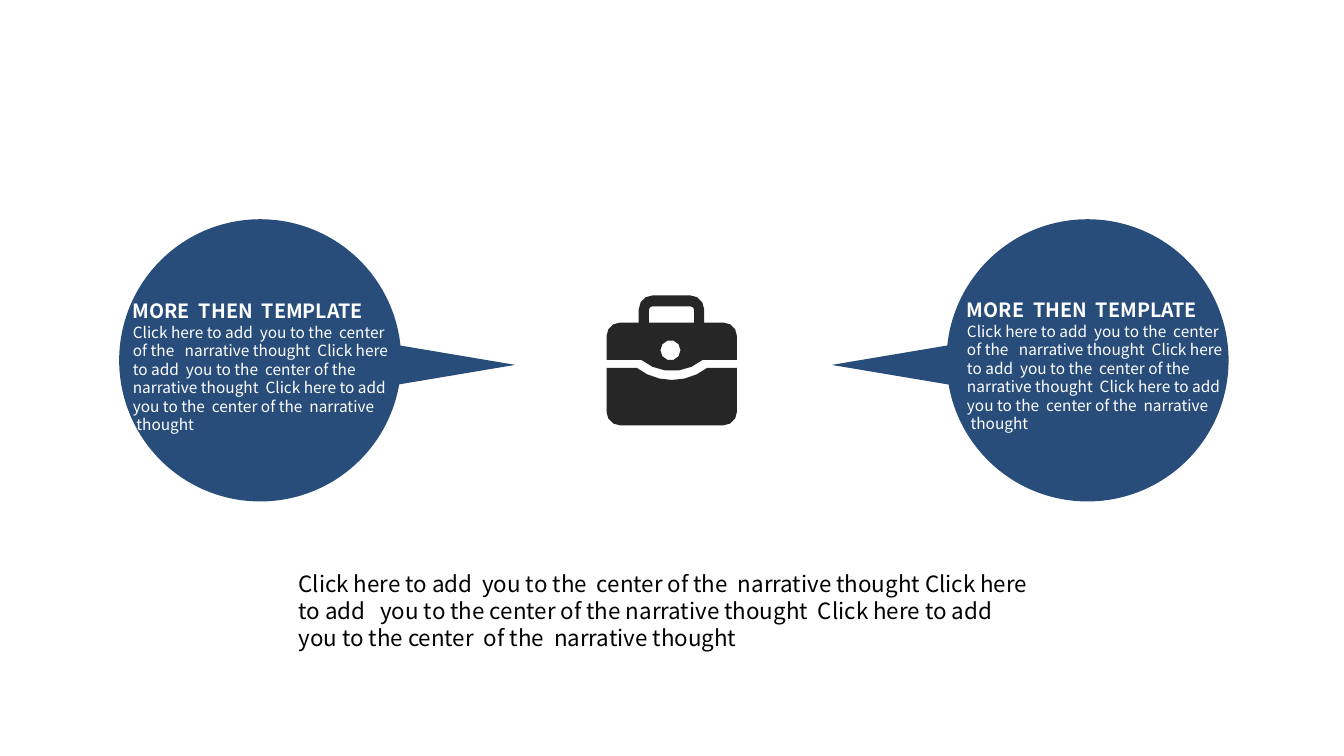
from dataclasses import dataclass
from math import acos, ceil, cos, radians, sin

from pptx import Presentation
from pptx.dml.color import RGBColor
from pptx.enum.shapes import MSO_SHAPE
from pptx.enum.text import MSO_ANCHOR, PP_ALIGN
from pptx.shapes.autoshape import Shape
from pptx.slide import Slide
from pptx.util import Inches, Pt

COLS, ROWS = 133.4, 75
CELL = Inches(0.1)
Point = tuple[float, float]


@dataclass(frozen=True)
class Theme:
    blue: RGBColor = RGBColor(0x28, 0x4D, 0x7A)
    dark: RGBColor = RGBColor(0x26, 0x26, 0x26)
    white: RGBColor = RGBColor(0xFF, 0xFF, 0xFF)
    black: RGBColor = RGBColor(0x00, 0x00, 0x00)
    font: str = "Noto Sans CJK JP"
    heading: float = 14
    body: float = 11
    summary: float = 16
    leading: float = 1.2


@dataclass(frozen=True)
class Line:
    text: str
    size: float
    color: RGBColor
    bold: bool = False
    indent: float = 0


@dataclass(frozen=True)
class Box:
    col: float
    row: float
    cols: float
    rows: float

    def emu(self) -> tuple[int, ...]:
        return tuple(round(v * CELL) for v in (self.col, self.row, self.cols, self.rows))


@dataclass(frozen=True)
class Callout:
    circle: Box
    pointer: Box
    rotation: float
    text: Box


THEME = Theme()
BUBBLE_LINES = [
    Line("MORE  THEN  TEMPLATE", THEME.heading, THEME.white, bold=True),
    Line("Click here to add  you to the  center", THEME.body, THEME.white),
    Line("of the   narrative thought  Click here", THEME.body, THEME.white),
    Line("to add  you to the  center of the", THEME.body, THEME.white),
    Line("narrative thought  Click here to add", THEME.body, THEME.white),
    Line("you to the  center of the  narrative", THEME.body, THEME.white),
    Line("thought", THEME.body, THEME.white, indent=0.35),
]
SUMMARY_LINES = [
    Line("Click here to add  you to the  center of the  narrative thought Click here",
         THEME.summary, THEME.black),
    Line("to add   you to the center of the narrative thought  Click here to add",
         THEME.summary, THEME.black),
    Line("you to the center  of the  narrative thought", THEME.summary, THEME.black),
]
CALLOUTS = [
    Callout(Box(11.83, 21.75, 28, 28), Box(42.6, 29.8, 4.3, 12.8), 90, Box(12.2, 29.2, 28, 16.2)),
    Callout(Box(93.95, 21.75, 28, 28), Box(86.8, 29.8, 4.3, 12.8), 270, Box(95, 29.1, 28, 16.2)),
]
SUMMARY = Box(28.65, 56.1, 75.9, 18.9)


def paint(s: Shape, color: RGBColor) -> None:
    s.shadow.inherit = False
    s.fill.solid()
    s.fill.fore_color.rgb = color
    s.line.fill.background()


def add_filled(slide: Slide, kind: MSO_SHAPE, box: Box, rotation: float = 0) -> None:
    s = slide.shapes.add_shape(kind, *box.emu())
    s.rotation = rotation
    paint(s, THEME.blue)


def add_lines(slide: Slide, box: Box, lines: list[Line]) -> None:
    tf = slide.shapes.add_textbox(*box.emu()).text_frame
    tf.word_wrap = True
    tf.vertical_anchor = MSO_ANCHOR.TOP
    for i, line in enumerate(lines):
        p = tf.paragraphs[0] if i == 0 else tf.add_paragraph()
        p._p.get_or_add_pPr().set("marL", str(round(line.indent * CELL)))
        r = p.add_run()
        r.text = line.text
        r.font.color.rgb = line.color
        formats = {
            p: {"alignment": PP_ALIGN.LEFT, "line_spacing": Pt(line.size * THEME.leading)},
            r.font: {"name": THEME.font, "size": Pt(line.size), "bold": line.bold},
        }
        for target, values in formats.items():
            for name, value in values.items():
                setattr(target, name, value)


def arc(col: float, row: float, radius: float, start: float, end: float) -> list[Point]:
    tolerance = 0.05
    widest = 2 * acos(1 - tolerance / radius)
    steps = ceil(radians(abs(end - start)) / widest)
    angles = [radians(start + (end - start) * i / steps) for i in range(steps + 1)]
    return [(col + radius * cos(a), row + radius * sin(a)) for a in angles]


def arch(left: float, right: float, top: float, bottom: float, radius: float) -> list[Point]:
    return [
        (left, bottom),
        *arc(left + radius, top + radius, radius, 180, 270),
        *arc(right - radius, top + radius, radius, 270, 360),
        (right, bottom),
    ]


def add_outline(slide: Slide, contours: list[list[Point]]) -> None:
    scaled = [[(c * CELL, r * CELL) for c, r in points] for points in contours]
    fb = slide.shapes.build_freeform(*scaled[0][0], scale=1.0)
    for i, points in enumerate(scaled):
        if i:
            fb.move_to(*points[0])
        fb.add_line_segments(points[1:], close=True)
    paint(fb.convert_to_shape(), THEME.dark)


def add_briefcase(slide: Slide) -> None:
    left, right, middle = 60.2, 73.15, 66.7
    top, seam, bottom, corner = 32, 36.5, 42.2, 1.35
    lower = [
        (left, seam),
        *arc(middle, top, 5.7, 128, 52),
        (right, seam),
        *arc(right - corner, bottom - corner, corner, 0, 90),
        *arc(left + corner, bottom - corner, corner, 90, 180),
    ]
    shell = arch(left, right, top, 35.7, corner)
    half = len(shell) // 2
    upper = [
        *shell[:half],
        *arch(63.4, 69.9, 29.3, top, 1.4),
        *shell[half:],
        *arc(middle, top, 4.8, 50.4, 129.6),
    ]
    grip = arch(64.4, 68.9, 30.4, top, 0.35)
    clasp = arc(66.55, 34.75, 1, 0, 360)
    add_outline(slide, [lower])
    add_outline(slide, [upper, grip, clasp])


def main() -> None:
    prs = Presentation()
    prs.slide_width, prs.slide_height = round(COLS * CELL), ROWS * CELL
    slide = prs.slides.add_slide(prs.slide_layouts[6])
    for callout in CALLOUTS:
        add_filled(slide, MSO_SHAPE.OVAL, callout.circle)
        add_filled(slide, MSO_SHAPE.ISOSCELES_TRIANGLE, callout.pointer, callout.rotation)
        add_lines(slide, callout.text, BUBBLE_LINES)
    add_briefcase(slide)
    add_lines(slide, SUMMARY, SUMMARY_LINES)
    prs.save("out.pptx")


if __name__ == "__main__":
    main()
